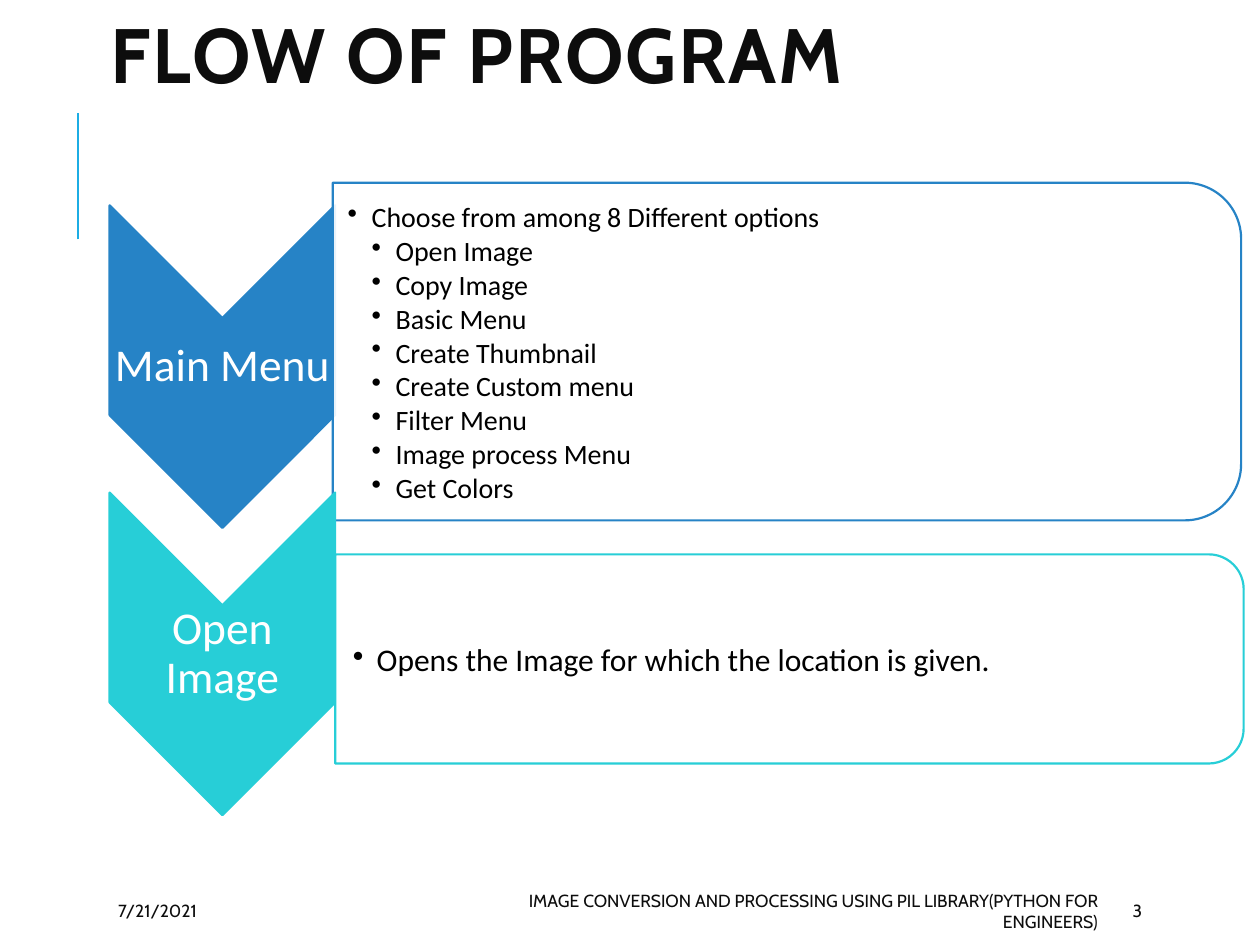
import pptx
import pptx.util
import pptx.dml.color
import pptx.enum.shapes
import pptx.enum.text
import pptx.oxml.ns
import lxml.etree
from dataclasses import dataclass

Pt = pptx.util.Pt
Kind = pptx.enum.shapes.MSO_SHAPE
Align = pptx.enum.text.PP_ALIGN
qn = pptx.oxml.ns.qn


@dataclass(frozen=True)
class Theme:
    head: str = "Cabin"
    body: str = "Calibri"
    ink: str = "0D0D0D"
    black: str = "000000"
    white: str = "FFFFFF"
    rule: str = "1CADE4"
    blue: str = "2683C6"
    teal: str = "27CED7"
    title: int = 44
    label: int = 26
    large: int = 18
    small: int = 16
    foot: int = 10
    edge: float = 1.25


def tag(parent, name, **attrs):
    return lxml.etree.SubElement(parent, qn(name), **attrs)


class Page:
    """Lengths are cells of a grid with 100 columns and 75 rows."""

    def __init__(self, deck, theme):
        self.theme = theme
        self.slide = deck.slides.add_slide(deck.slide_layouts[6])
        self.col = deck.slide_width / 100
        self.row = deck.slide_height / 75

    def box(self, x, y, w, h):
        return (round(x * self.col), round(y * self.row),
                round(w * self.col), round(h * self.row))

    def rgb(self, color):
        return pptx.dml.color.RGBColor.from_string(color)

    def line(self, x1, y1, x2, y2, color, width):
        start, end = self.box(x1, y1, 0, 0), self.box(x2, y2, 0, 0)
        rule = self.slide.shapes.add_connector(
            pptx.enum.shapes.MSO_CONNECTOR.STRAIGHT, *start[:2], *end[:2])
        rule.line.color.rgb = self.rgb(color)
        rule.line.width = Pt(width)
        tag(rule._element.spPr, "a:effectLst")

    def turned(self, kind, x, y, w, h, fill, edge, alpha=100):
        """A shape turned by 90 degrees that covers the given area."""
        area = self.box(x + (w - h) / 2, y + (h - w) / 2, h, w)
        shape = self.slide.shapes.add_shape(kind, *area)
        shape.rotation = 90
        shape.shadow.inherit = False
        shape.fill.solid()
        shape.fill.fore_color.rgb = self.rgb(fill)
        if alpha < 100:
            color = shape._element.spPr.find(qn("a:solidFill"))[0]
            tag(color, "a:alpha", val=str(alpha * 1000))
        shape.line.color.rgb = self.rgb(edge)
        shape.line.width = Pt(self.theme.edge)

    def text(self, x, y, w, h, lines, size, font, color, align=Align.LEFT,
             pads=(1, 0.5, 1, 0.5), lead=None, after=0, bold=False,
             track=0, bullet=False):
        """Lines are pairs of level and wording."""
        frame = self.slide.shapes.add_textbox(*self.box(x, y, w, h)).text_frame
        frame.word_wrap = True
        frame.vertical_anchor = pptx.enum.text.MSO_ANCHOR.MIDDLE
        (frame.margin_left, frame.margin_top,
         frame.margin_right, frame.margin_bottom) = self.box(*pads)
        for i, (level, words) in enumerate(lines):
            para = frame.paragraphs[0] if i == 0 else frame.add_paragraph()
            para.text = words
            para.alignment = align
            para.space_after = Pt(after)
            if lead:
                para.line_spacing = lead
            para.font.size = Pt(size)
            para.font.name = font
            para.font.bold = bold
            para.font.color.rgb = self.rgb(color)
            if track:
                para.font._element.set("spc", str(track * 100))
            if bullet:
                self.bullet(para, level)

    def bullet(self, para, level):
        para.level = level
        step = round(1.9 * self.col)
        props = para._p.get_or_add_pPr()
        props.set("marL", str(step * level))
        props.set("indent", str(-step))
        mark = lxml.etree.Element(qn("a:buChar"), char="\u2022")
        props.find(qn("a:defRPr")).addprevious(mark)

    def stage(self, y, name, color):
        """A downward chevron with its label."""
        self.turned(Kind.CHEVRON, 8.7, y, 17.9, 25.6, color, color)
        self.text(8.7, y + 8.95, 17.9, 7.7, [(0, name)], self.theme.label,
                  self.theme.body, self.theme.white, Align.CENTER,
                  pads=(0.2,) * 4, lead=0.9)

    def panel(self, x, y, h, color, lines, size, pad):
        """A panel rounded on the right, with a bulleted list."""
        self.turned(Kind.ROUND_2_SAME_RECTANGLE, x, y, 72.1, h,
                    self.theme.white, color, alpha=90)
        self.text(x, y + 1.4, 71, h - 2.4, lines, size, self.theme.body,
                  self.theme.black, pads=(pad, 0.1, 0.1, 0.1),
                  lead=0.9, after=2.1, bullet=True)


theme = Theme()
deck = pptx.Presentation()
deck.slide_width = pptx.util.Inches(10)
deck.slide_height = pptx.util.Inches(7.5)
page = Page(deck, theme)

# Side rule and title
page.line(6.2, 19, 6.2, 9, theme.rule, 1.5)
page.text(5, -1.4, 90, 12.5, [(0, "FLOW OF PROGRAM")], theme.title,
          theme.head, theme.ink, pads=(3.8, 0.5, 1, 0.5), lead=0.8,
          bold=True, track=1)

# Stages of the flow
options = ["Open Image", "Copy Image", "Basic Menu", "Create Thumbnail",
           "Create Custom menu", "Filter Menu", "Image process Menu",
           "Get Colors"]
menu = [(1, "Choose from among 8 Different options")]
menu += [(2, option) for option in options]
opens = [(1, "Opens the Image for which the location is given.")]
stages = [
    ("Main Menu", theme.blue, (26.4, 14.5, 26.8), menu, theme.small, 1.2),
    ("Open Image", theme.teal, (26.6, 44, 16.6), opens, theme.large, 1.4),
]
for i, (name, color, place, lines, size, pad) in enumerate(stages):
    page.stage(16.3 + 22.8 * i, name, color)
    page.panel(*place, color, lines, size, pad)

# Footer
footer = [
    (8.4, 17.7, "7/21/2021", Align.LEFT),
    (39.7, 48.4, "IMAGE CONVERSION AND PROCESSING USING PIL LIBRARY"
     "(PYTHON FOR ENGINEERS)", Align.RIGHT),
    (88.9, 8, "3", Align.LEFT),
]
for x, w, words, align in footer:
    page.text(x, 70.8, w, 3, [(0, words)], theme.foot, theme.head,
              theme.ink, align)

deck.save("out.pptx")
